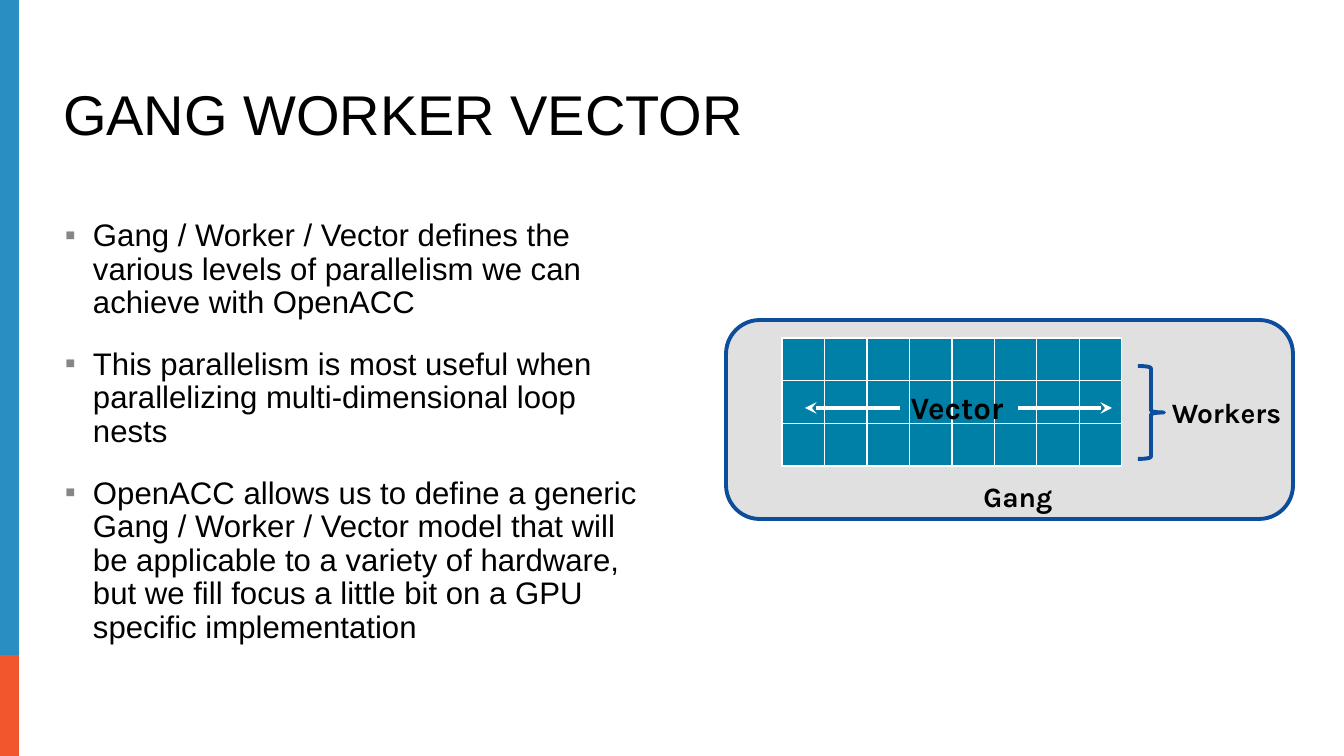
from lxml.etree import SubElement
from pptx import Presentation
from pptx.dml.color import RGBColor
from pptx.enum.shapes import MSO_CONNECTOR, MSO_SHAPE
from pptx.enum.text import MSO_ANCHOR, PP_ALIGN
from pptx.oxml.ns import qn
from pptx.util import Emu, Pt

EMU_PER_PX = 914400 / 112
COLORS = {
    "text": "000000",
    "bullet": "868686",
    "bar_blue": "298EC2",
    "bar_orange": "F1562D",
    "gang": "E0E0E0",
    "outline": "0C4E9B",
    "cell": "0080A7",
    "white": "FFFFFF",
}
BULLETS = [
    "Gang / Worker / Vector defines the various levels of parallelism we can achieve with OpenACC",
    "This parallelism is most useful when parallelizing multi-dimensional loop nests",
    "OpenACC allows us to define a generic Gang / Worker / Vector model that will be applicable "
    "to a variety of hardware, but we fill focus a little bit on a GPU specific implementation",
]


def px(length):
    return Emu(round(length * EMU_PER_PX))


def color(name):
    return RGBColor.from_string(COLORS[name])


def add_shape(slide, kind, box, fill=None, line=None, adjustments=()):
    shape = slide.shapes.add_shape(kind, *map(px, box))
    shape.shadow.inherit = False
    if fill:
        shape.fill.solid()
        shape.fill.fore_color.rgb = color(fill)
    else:
        shape.fill.background()
    if line:
        shape.line.color.rgb = color(line)
        shape.line.width = Pt(2.5)
    else:
        shape.line.fill.background()
    for index, value in enumerate(adjustments):
        shape.adjustments[index] = value


def add_text_frame(slide, box, anchor=MSO_ANCHOR.TOP):
    frame = slide.shapes.add_textbox(*map(px, box)).text_frame
    frame.word_wrap = True
    frame.vertical_anchor = anchor
    return frame


def add_run(paragraph, text, size, font="Arial", bold=False):
    run = paragraph.add_run()
    run.text = text
    run.font.name = font
    run.font.size = Pt(size)
    run.font.bold = bold
    run.font.color.rgb = color("text")


def add_title(slide, box, text):
    paragraph = add_text_frame(slide, box, MSO_ANCHOR.BOTTOM).paragraphs[0]
    paragraph.line_spacing = 0.9
    add_run(paragraph, text, 36)


def add_label(slide, box, text, size=18):
    paragraph = add_text_frame(slide, box).paragraphs[0]
    paragraph.alignment = PP_ALIGN.CENTER
    add_run(paragraph, text, size, "Karla", True)


def add_bullet(paragraph, indent):
    properties = paragraph._p.get_or_add_pPr()
    properties.set("marL", str(px(indent)))
    properties.set("indent", str(-px(indent)))
    bullet_color = SubElement(properties, qn("a:buClr"))
    SubElement(bullet_color, qn("a:srgbClr"), val=COLORS["bullet"])
    SubElement(properties, qn("a:buFont"), typeface="Arial")
    SubElement(properties, qn("a:buChar"), char="▪")


def add_bullet_list(slide, box, texts):
    frame = add_text_frame(slide, box)
    for index, text in enumerate(texts):
        paragraph = frame.add_paragraph() if index else frame.paragraphs[0]
        add_bullet(paragraph, 28)
        paragraph.line_spacing = 0.9
        paragraph.space_before = Pt(18 if index else 0)
        add_run(paragraph, text, 20)


def style_cell(cell):
    cell.margin_left = cell.margin_right = cell.margin_top = cell.margin_bottom = 0
    cell.text_frame.paragraphs[0].font.size = Pt(12)
    properties = cell._tc.get_or_add_tcPr()
    for side in ("lnL", "lnR", "lnT", "lnB"):
        border = SubElement(properties, qn(f"a:{side}"), w=str(Pt(1)))
        border_fill = SubElement(border, qn("a:solidFill"))
        SubElement(border_fill, qn("a:srgbClr"), val=COLORS["white"])
    cell.fill.solid()
    cell.fill.fore_color.rgb = color("cell")


def add_vector_grid(slide, box, rows, columns):
    left, top, width, height = box
    table = slide.shapes.add_table(rows, columns, *map(px, box)).table
    table.first_row = False
    table.horz_banding = False
    for column in table.columns:
        column.width = px(width / columns)
    for row in table.rows:
        row.height = px(height / rows)
    for cell in table.iter_cells():
        style_cell(cell)


def add_arrow(slide, start_x, end_x, y):
    arrow = slide.shapes.add_connector(
        MSO_CONNECTOR.STRAIGHT, px(start_x), px(y), px(end_x), px(y)
    )
    arrow.line.color.rgb = color("white")
    arrow.line.width = Pt(2.5)
    SubElement(arrow.line._get_or_add_ln(), qn("a:tailEnd"), type="stealth")
    SubElement(arrow._element.spPr, qn("a:effectLst"))


def main():
    presentation = Presentation()
    presentation.slide_width = px(1344)
    presentation.slide_height = px(756)
    slide = presentation.slides.add_slide(presentation.slide_layouts[6])

    add_shape(slide, MSO_SHAPE.RECTANGLE, (0, 655, 19, 101), "bar_orange")
    add_shape(slide, MSO_SHAPE.RECTANGLE, (0, 0, 19, 655), "bar_blue")
    add_title(slide, (52, 80, 1222, 73), "GANG WORKER VECTOR")
    add_bullet_list(slide, (54, 214, 613, 456), BULLETS)

    add_shape(slide, MSO_SHAPE.ROUNDED_RECTANGLE, (726, 320, 567, 199), "gang", "outline", [0.17])
    add_shape(slide, MSO_SHAPE.RIGHT_BRACE, (1138, 366, 26, 93), None, "outline", [0.08, 0.5])
    add_label(slide, (1151, 390, 151, 45), "Workers")
    add_label(slide, (920, 474, 196, 45), "Gang")
    add_vector_grid(slide, (782, 338, 340, 128), 3, 8)
    add_label(slide, (784, 383, 346, 49), "Vector", 20)
    for start_x, end_x in ((1018, 1112), (900, 805)):
        add_arrow(slide, start_x, end_x, 408)

    presentation.save("out.pptx")


if __name__ == "__main__":
    main()
